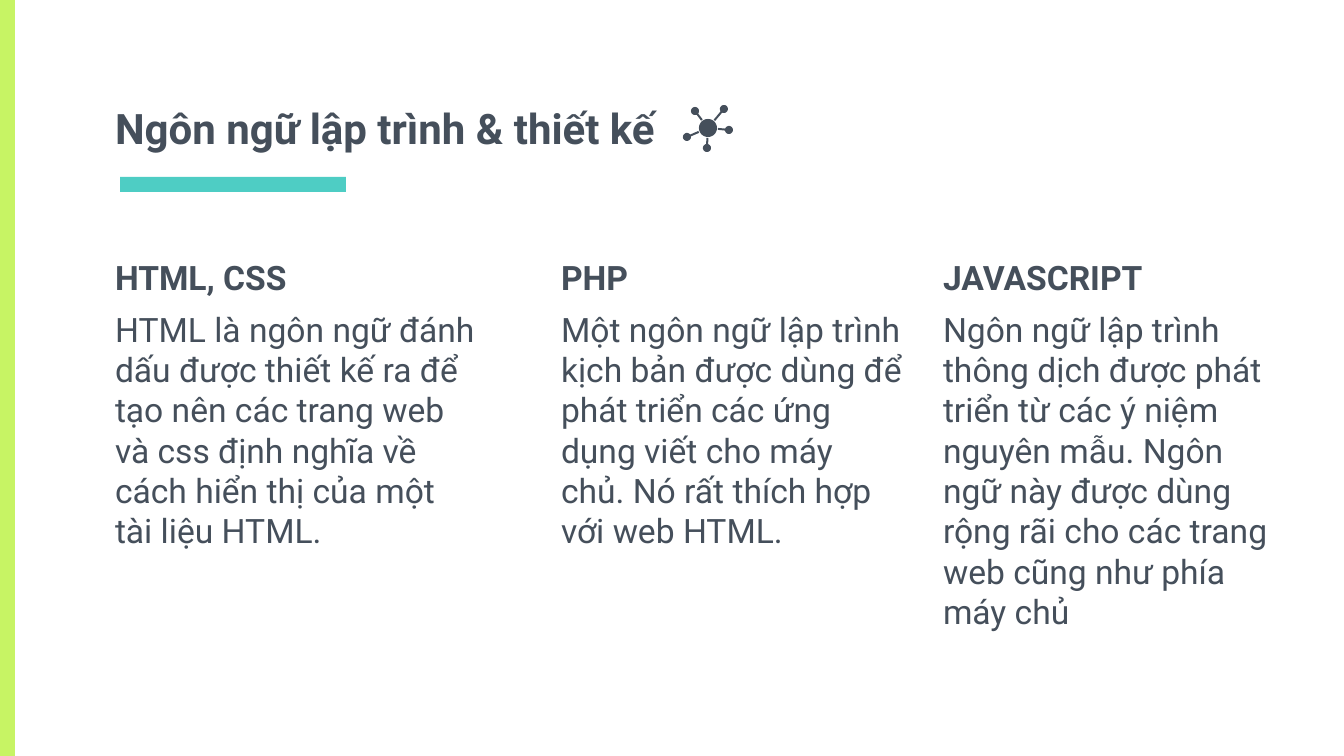
import math

from pptx import Presentation
from pptx import util as u
from pptx.dml.color import RGBColor
from pptx.enum import shapes, text

PX = 914400 / 100.8  # EMU in one px
COLORS = {"ink": "454F5B", "lime": "C7F464", "teal": "4ECDC4"}
INSET = 13
BODY_TOP, BODY_HEIGHT = 244, 439

# left, width, heading, description
LANGUAGES = [
    (102, 390, "HTML, CSS",
     "HTML là ngôn ngữ đánh dấu được thiết kế ra để tạo nên các trang web "
     "và css định nghĩa về cách hiển thị của một tài liệu HTML."),
    (548, 368, "PHP",
     "Một ngôn ngữ lập trình kịch bản được dùng để phát triển các ứng dụng "
     "viết cho máy chủ. Nó rất thích hợp với web HTML."),
    (930, 368, "JAVASCRIPT",
     "Ngôn ngữ lập trình thông dịch được phát triển từ các ý niệm nguyên mẫu. "
     "Ngôn ngữ này được dùng rộng rãi cho các trang web cũng như phía máy chủ"),
]

# Network icon: hub centre and the centres of its satellites
HUB = (708, 128)
SATELLITES = [(724, 109), (695, 111), (687, 137), (707, 148), (729, 130)]


def px(n):
    return u.Emu(round(n * PX))


def paint(sp, color):
    sp.shadow.inherit = False
    sp.fill.solid()
    sp.fill.fore_color.rgb = RGBColor.from_string(COLORS[color])
    sp.line.fill.background()


def add_bar(s, box, color):
    sp = s.shapes.add_shape(shapes.MSO_SHAPE.RECTANGLE, *map(px, box))
    paint(sp, color)


def add_text(s, box, lines, anchor):
    """Each line is (text, size in points, bold)."""
    tf = s.shapes.add_textbox(*map(px, box)).text_frame
    frame = {"word_wrap": True, "vertical_anchor": anchor}
    frame.update({f"margin_{side}": px(INSET)
                  for side in ("left", "top", "right", "bottom")})
    for name, value in frame.items():
        setattr(tf, name, value)
    for i, (line, size, bold) in enumerate(lines):
        p = tf.add_paragraph() if i else tf.paragraphs[0]
        if i:
            p.space_before = u.Pt(8)
        r = p.add_run()
        r.text = line
        font = {"name": "Roboto", "size": u.Pt(size), "bold": bold}
        for name, value in font.items():
            setattr(r.font, name, value)
        r.font.color.rgb = RGBColor.from_string(COLORS["ink"])


def add_node(s, center, radius, stem_to=None):
    """Draw a disc, with a thin stem reaching towards stem_to if given."""
    cx, cy = center
    gap, turn, stem = 0, 0, []
    if stem_to:
        dx, dy = stem_to[0] - cx, stem_to[1] - cy
        turn, length = math.atan2(dy, dx), math.hypot(dx, dy) - 10
        gap = math.asin(1 / radius)
        stem = [(cx + length * math.cos(turn) + side * math.sin(turn),
                 cy + length * math.sin(turn) - side * math.cos(turn))
                for side in (1, -1)]
    steps = 40
    angles = [turn + gap + (2 * math.pi - 2 * gap) * i / steps
              for i in range(steps + 1)]
    points = [(cx + radius * math.cos(a), cy + radius * math.sin(a))
              for a in angles] + stem
    # Tenths of a px keep the small outlines smooth
    (x, y), *rest = [(10 * x, 10 * y) for x, y in points]
    fb = s.shapes.build_freeform(x, y, scale=PX / 10)
    fb.add_line_segments(rest, close=True)
    paint(fb.convert_to_shape(), "ink")


def main():
    prs = Presentation()
    prs.slide_width, prs.slide_height = px(1344), px(756)
    s = prs.slides.add_slide(prs.slide_layouts[6])

    # Side stripe and title underline
    add_bar(s, (0, 0, 15, 756), "lime")
    add_bar(s, (120, 177, 226, 15), "teal")

    # Title
    add_text(s, (102, 93, 1141, 73),
             [("Ngôn ngữ lập trình & thiết kế", 30, True)],
             text.MSO_ANCHOR.BOTTOM)

    # Language columns
    for left, width, heading, description in LANGUAGES:
        add_text(s, (left, BODY_TOP, width, BODY_HEIGHT),
                 [(heading, 24, True), (description, 24, False)],
                 text.MSO_ANCHOR.TOP)

    # Network icon
    for center in SATELLITES:
        add_node(s, center, 4, HUB)
    add_node(s, HUB, 9)

    prs.save("out.pptx")


if __name__ == "__main__":
    main()
